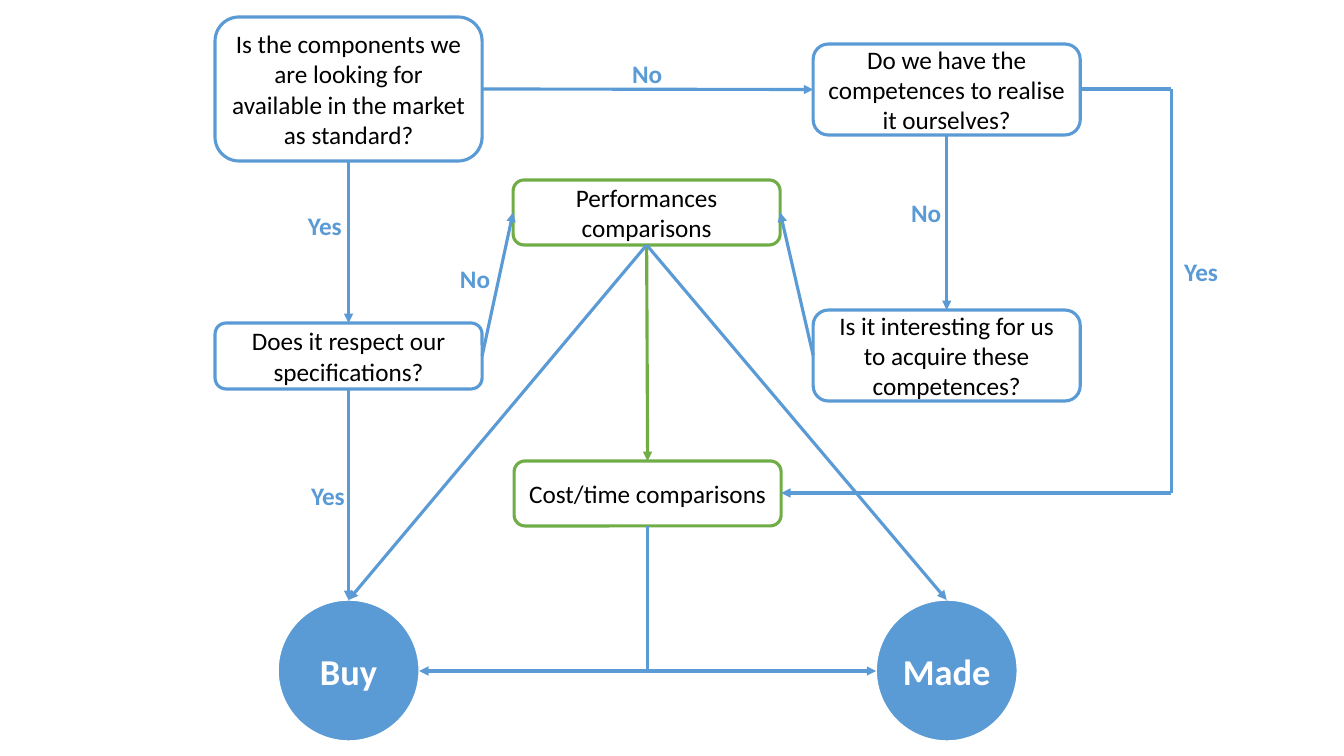
from pptx import Presentation
from pptx.dml.color import RGBColor
from pptx.enum.shapes import MSO_CONNECTOR, MSO_SHAPE
from pptx.enum.text import MSO_ANCHOR, MSO_AUTO_SIZE, PP_ALIGN
from pptx.oxml.ns import qn
from pptx.util import Inches, Pt
from lxml.etree import SubElement

SCALE = 914400 / 100.8
BLUE, GREEN, WHITE, BLACK = "5B9BD5", "70AD47", "FFFFFF", "000000"
TOP, LEFT, BASE, RIGHT = range(4)

deck = Presentation()
deck.slide_width, deck.slide_height = Inches(13.33), Inches(7.5)
slide = deck.slides.add_slide(deck.slide_layouts[6])
shapes = slide.shapes


def px(*nums):
    return [round(n * SCALE) for n in nums]


def rgb(code):
    return RGBColor.from_string(code)


# Question boxes, comparison boxes and outcome circles
BOX, DISC = MSO_SHAPE.ROUNDED_RECTANGLE, MSO_SHAPE.OVAL
nodes = {}
for name, kind, x, y, wide, high, tint, text in [
    ("market", BOX, 215, 17, 267, 144, BLUE,
     "Is the components we are looking for available in the market as standard?"),
    ("specs", BOX, 215, 323, 267, 66, BLUE, "Does it respect our specifications?"),
    ("skills", BOX, 813, 44, 267, 91, BLUE,
     "Do we have the competences to realise it ourselves?"),
    ("acquire", BOX, 813, 310, 267, 91, BLUE,
     "Is it interesting for us to acquire these competences?"),
    ("perform", BOX, 513, 180, 267, 65, GREEN, "Performances comparisons"),
    ("cost", BOX, 514, 461, 267, 65, GREEN, "Cost/time comparisons"),
    ("buy", DISC, 278, 600, 141, 141, BLUE, "Buy"),
    ("made", DISC, 876, 600, 141, 141, BLUE, "Made"),
]:
    disc = kind == DISC
    node = nodes[name] = shapes.add_shape(kind, *px(x, y, wide, high))
    node.shadow.inherit = False
    node.fill.solid()
    node.fill.fore_color.rgb = rgb(tint if disc else WHITE)
    node.line.color.rgb = rgb(WHITE if disc else tint)
    node.line.width = Pt(1 if disc else 2.25)
    frame = node.text_frame
    frame.word_wrap = True
    frame.vertical_anchor = MSO_ANCHOR.MIDDLE
    if disc:
        frame.margin_left = frame.margin_right = Inches(0.03)
        frame.margin_top = frame.margin_bottom = Inches(0.03)
    para = frame.paragraphs[0]
    para.text = text
    para.alignment = PP_ALIGN.CENTER
    para.font.name = "Calibri"
    para.font.size = Pt(26 if disc else 18)
    para.font.bold = disc
    para.font.color.rgb = rgb(WHITE if disc else BLACK)


def draw(start, end, tint=BLUE, tips=("tailEnd",)):
    line = shapes.add_connector(MSO_CONNECTOR.STRAIGHT, *px(*start, *end))
    line.line.color.rgb = rgb(tint)
    line.line.width = Pt(2.25)
    props = line._element.spPr
    for tip in tips:
        SubElement(props.find(qn("a:ln")), qn("a:" + tip), type="triangle")
    SubElement(props, qn("a:effectLst"))
    return line


# Arrows glued to the nodes
for tail, out, head, into, tint in [
    ("market", BASE, "specs", TOP, BLUE),
    ("market", RIGHT, "skills", LEFT, BLUE),
    ("skills", BASE, "acquire", TOP, BLUE),
    ("specs", RIGHT, "perform", LEFT, BLUE),
    ("acquire", LEFT, "perform", RIGHT, BLUE),
    ("perform", BASE, "cost", TOP, GREEN),
    ("perform", BASE, "buy", TOP, BLUE),
    ("perform", BASE, "made", TOP, BLUE),
    ("specs", BASE, "buy", TOP, BLUE),
]:
    link = draw((0, 0), (0, 0), tint)
    link.begin_connect(nodes[tail], out)
    link.end_connect(nodes[head], into)

# Detour on the right, and the branch to both outcomes
draw((1080, 89), (1171, 89), tips=())
draw((1171, 89), (1171, 493), tips=())
draw((1171, 493), (781, 493))
draw((647, 526), (647, 671), tips=())
draw((419, 671), (876, 671), tips=("headEnd", "tailEnd"))

# Answers beside the arrows
for x, y, text in [
    (622, 53, "No"), (298, 205, "Yes"), (901, 192, "No"),
    (1174, 251, "Yes"), (450, 258, "No"), (301, 475, "Yes"),
]:
    label = shapes.add_textbox(*px(x, y, 50 if text == "No" else 54, 40))
    frame = label.text_frame
    frame.word_wrap = False
    frame.auto_size = MSO_AUTO_SIZE.SHAPE_TO_FIT_TEXT
    para = frame.paragraphs[0]
    para.text = text
    para.font.name = "Calibri"
    para.font.size = Pt(18)
    para.font.bold = True
    para.font.color.rgb = rgb(BLUE)

deck.save("out.pptx")
